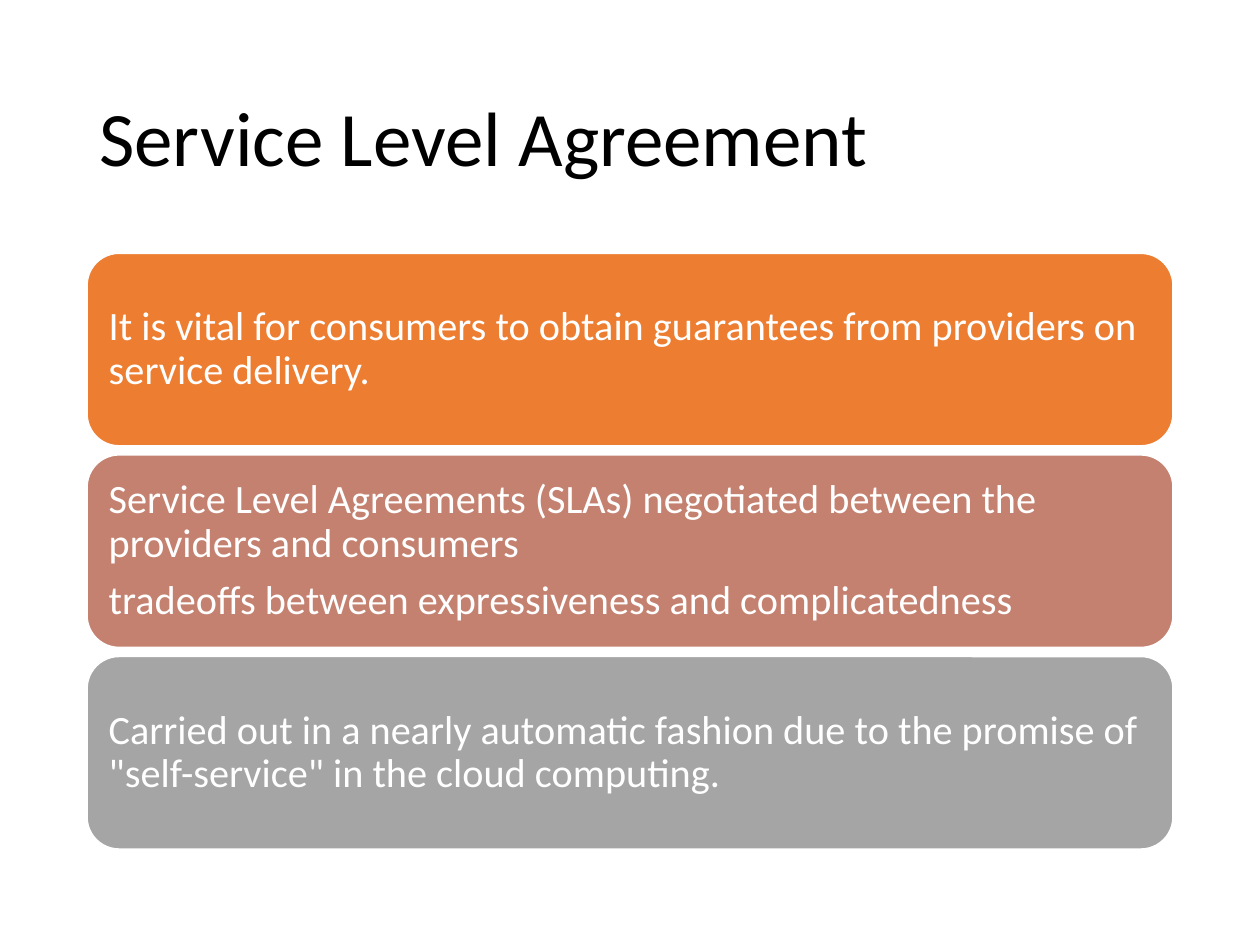
from pptx import Presentation
from pptx.dml.color import RGBColor
from pptx.enum.shapes import MSO_SHAPE
from pptx.enum.text import MSO_ANCHOR, PP_ALIGN
from pptx.util import Inches, Pt

BLACK = RGBColor(0x00, 0x00, 0x00)
WHITE = RGBColor(0xFF, 0xFF, 0xFF)
ORANGE = RGBColor(0xED, 0x7D, 0x31)
TERRACOTTA = RGBColor(0xC4, 0x81, 0x70)
GRAY = RGBColor(0xA5, 0xA5, 0xA5)

LEFT, WIDTH = 0.69, 8.62
CARD_TOP, CARD_HEIGHT, CARD_PITCH = 2.01, 1.53, 1.6


def write_text(shape, *lines, size, color, space_after=0, inset_x=0.1, inset_y=0.1):
    frame = shape.text_frame
    frame.word_wrap = True
    frame.vertical_anchor = MSO_ANCHOR.MIDDLE
    frame.margin_left = frame.margin_right = Inches(inset_x)
    frame.margin_top = frame.margin_bottom = Inches(inset_y)
    frame.text = "\n".join(lines)
    for paragraph in frame.paragraphs:
        paragraph.alignment = PP_ALIGN.LEFT
        paragraph.line_spacing = 0.9
        paragraph.space_after = Pt(space_after)
        font = paragraph.runs[0].font
        font.name = "Calibri"
        font.size = Pt(size)
        font.color.rgb = color


presentation = Presentation()
presentation.slide_width = Inches(10)
presentation.slide_height = Inches(7.5)
slide = presentation.slides.add_slide(presentation.slide_layouts[6])

title = slide.shapes.add_textbox(Inches(LEFT), Inches(0.4), Inches(WIDTH), Inches(1.45))
write_text(title, "Service Level Agreement", size=44, color=BLACK, inset_y=0.05)

cards = [
    (ORANGE, ["It is vital for consumers to obtain guarantees from providers on service delivery."]),
    (TERRACOTTA, [
        "Service Level Agreements (SLAs) negotiated between the providers and consumers",
        "tradeoffs between expressiveness and complicatedness",
    ]),
    (GRAY, [
        "Carried out in a nearly automatic fashion due to the promise of "
        '"self-service" in the cloud computing.',
    ]),
]

for index, (fill_color, lines) in enumerate(cards):
    card = slide.shapes.add_shape(
        MSO_SHAPE.ROUNDED_RECTANGLE,
        Inches(LEFT), Inches(CARD_TOP + index * CARD_PITCH),
        Inches(WIDTH), Inches(CARD_HEIGHT),
    )
    card.shadow.inherit = False
    card.fill.solid()
    card.fill.fore_color.rgb = fill_color
    card.line.color.rgb = WHITE
    card.line.width = Pt(1)
    write_text(card, *lines, size=23, color=WHITE, space_after=8)

presentation.save("out.pptx")
